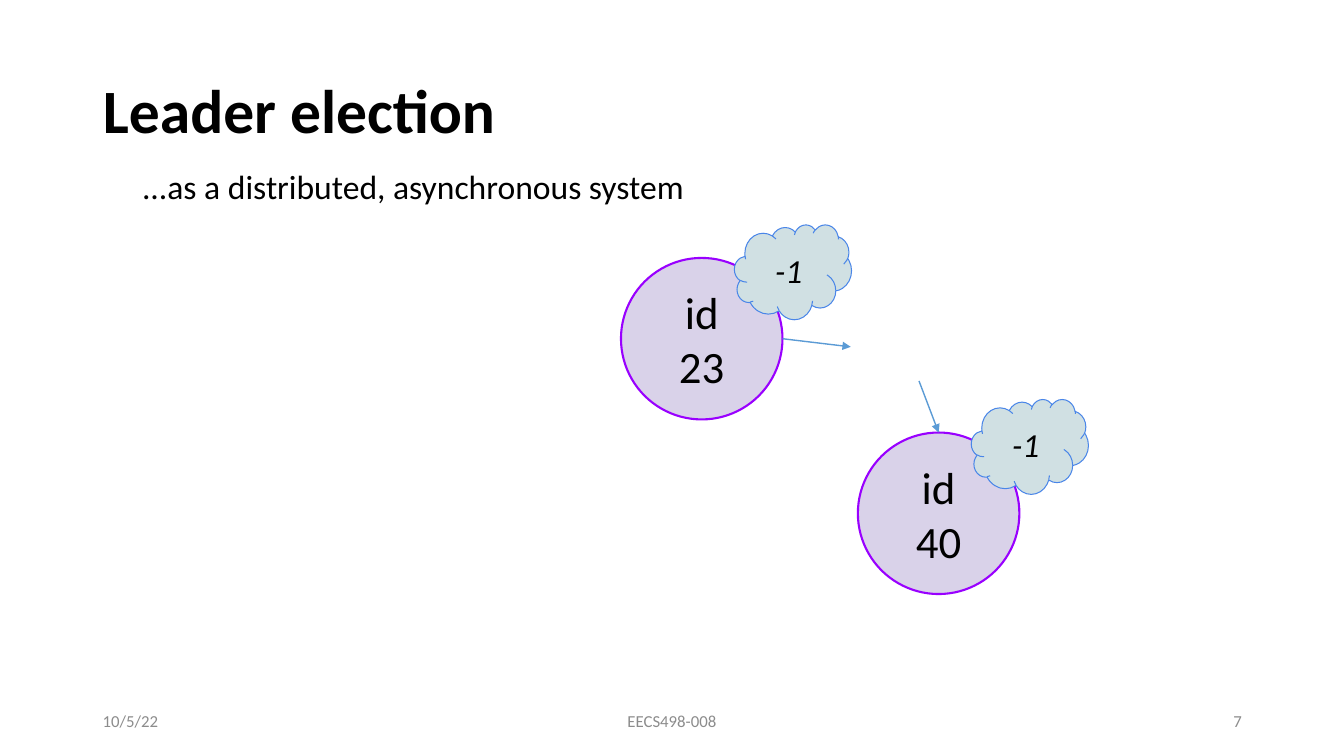
"""Build the leader election slide with two nodes and their messages."""
from lxml.etree import SubElement
from pptx import Presentation
from pptx.dml.color import RGBColor
from pptx.enum.shapes import MSO_CONNECTOR, MSO_SHAPE
from pptx.enum.text import MSO_ANCHOR, PP_ALIGN
from pptx.oxml.ns import qn
from pptx.util import Cm, Pt

COLORS = {
    "text": "000000", "footer": "8C8C8C", "arrow": "5B9BD5",
    "node": "D9D2E9", "node_edge": "9900FF",
    "cloud": "D0E0E3", "cloud_edge": "4A86E8",
}
FONT = "Calibri"
TITLE = ("Leader election", (2.34, 1.02, 29.21, 3.68))
SUBTITLE = ("...as a distributed, asynchronous system", (3.33, 4.06, 18.11, 1.27))
FOOTERS = [
    ("10/5/22", 2.34, 7.62, PP_ALIGN.LEFT),
    ("EECS498-008", 11.22, 11.43, PP_ALIGN.CENTER),
    ("7", 23.93, 7.62, PP_ALIGN.RIGHT),
]
FOOTER_TOP, FOOTER_HEIGHT = 17.65, 1.02
NODES = [("id\n23", "-1", 15.65, 6.5), ("id\n40", "-1", 21.62, 10.9)]
NODE_SIZE = 4.07
CLOUD_OFFSET, CLOUD_SIZE = (2.86, -0.84), (2.95, 2.39)
OUTGOING_END = (21.44, 8.74)
INCOMING_START = (23.16, 9.6)


def color(name):
    return RGBColor.from_string(COLORS[name])


def write(holder, text, size=24, ink="text", bold=False, italic=False,
          align=PP_ALIGN.LEFT, anchor=MSO_ANCHOR.MIDDLE, spacing=1.0, inset=None):
    frame = holder.text_frame
    frame.word_wrap = True
    frame.vertical_anchor = anchor
    if inset is not None:
        frame.margin_left = frame.margin_right = Cm(inset)
        frame.margin_top = frame.margin_bottom = Cm(inset)
    frame.text = text
    for paragraph in frame.paragraphs:
        paragraph.alignment = align
        paragraph.line_spacing = spacing
        font = paragraph.font
        font.name, font.size = FONT, Pt(size)
        font.bold, font.italic = bold, italic
        font.color.rgb = color(ink)


def add_label(slide, box, text, **style):
    write(slide.shapes.add_textbox(*map(Cm, box)), text, **style)


def add_bubble(slide, kind, box, text, fill, width, **style):
    bubble = slide.shapes.add_shape(kind, *map(Cm, box))
    bubble.shadow.inherit = False
    bubble.fill.solid()
    bubble.fill.fore_color.rgb = color(fill)
    bubble.line.color.rgb = color(fill + "_edge")
    bubble.line.width = Pt(width)
    write(bubble, text, align=PP_ALIGN.CENTER, inset=0.33, **style)
    return bubble


def add_arrow(slide, start, end):
    arrow = slide.shapes.add_connector(MSO_CONNECTOR.STRAIGHT, *map(Cm, start + end))
    arrow.line.color.rgb = color("arrow")
    arrow.line.width = Pt(1)
    SubElement(arrow.line._get_or_add_ln(), qn("a:tailEnd"), type="triangle")
    SubElement(arrow._element.spPr, qn("a:effectLst"))
    return arrow


def main():
    deck = Presentation()
    deck.slide_width, deck.slide_height = Cm(33.87), Cm(19.05)
    slide = deck.slides.add_slide(deck.slide_layouts[5])

    heading, box = TITLE
    title = slide.shapes.title
    title.left, title.top, title.width, title.height = map(Cm, box)
    write(title, heading, size=44, bold=True, spacing=0.9)

    subheading, box = SUBTITLE
    add_label(slide, box, subheading, anchor=MSO_ANCHOR.TOP)

    circles = [
        add_bubble(slide, MSO_SHAPE.OVAL, (left, top, NODE_SIZE, NODE_SIZE),
                   name, "node", 1.5, size=32)
        for name, _, left, top in NODES
    ]
    for _, value, left, top in NODES:
        corner = (left + CLOUD_OFFSET[0], top + CLOUD_OFFSET[1])
        add_bubble(slide, MSO_SHAPE.CLOUD, corner + CLOUD_SIZE,
                   value, "cloud", 0.75, italic=True)

    _, _, sender_left, sender_top = NODES[0]
    _, _, receiver_left, receiver_top = NODES[1]
    add_arrow(slide, (sender_left + NODE_SIZE, sender_top + NODE_SIZE / 2), OUTGOING_END)
    incoming = add_arrow(slide, INCOMING_START,
                         (receiver_left + NODE_SIZE / 2, receiver_top))
    incoming.end_connect(circles[1], 0)

    for text, left, width, align in FOOTERS:
        add_label(slide, (left, FOOTER_TOP, width, FOOTER_HEIGHT), text,
                  size=12, ink="footer", align=align)

    deck.save("out.pptx")


if __name__ == "__main__":
    main()
